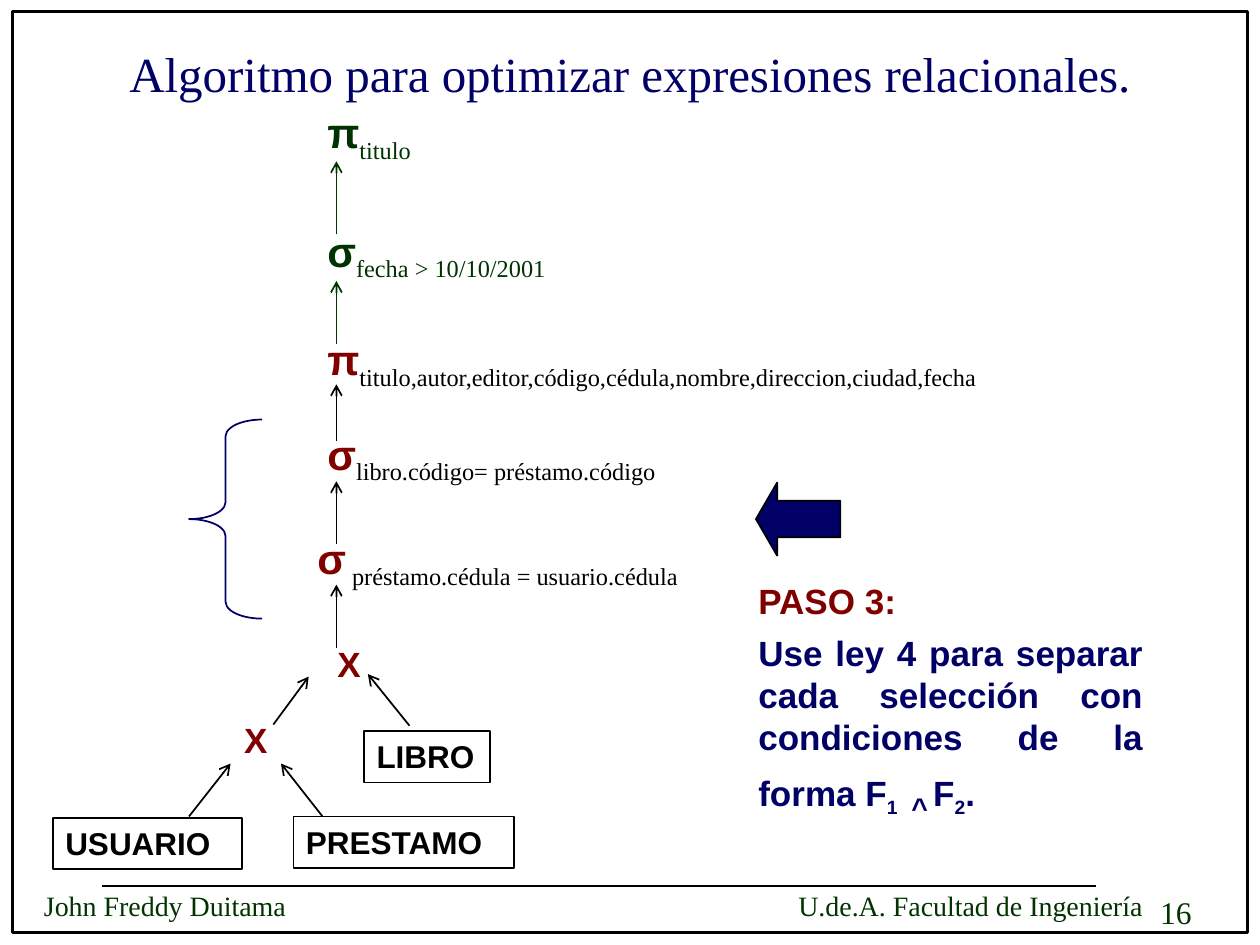
from dataclasses import dataclass

from lxml.etree import SubElement
from pptx import Presentation
from pptx.dml.color import RGBColor
from pptx.enum.shapes import MSO_CONNECTOR, MSO_SHAPE
from pptx.enum.text import MSO_ANCHOR, PP_ALIGN
from pptx.oxml.ns import qn
from pptx.util import Pt

EMU_PER_PX = 9144


@dataclass(frozen=True)
class Theme:
    navy: str = "000066"
    green: str = "003300"
    maroon: str = "800000"
    black: str = "000000"
    sans: str = "Arial"
    serif: str = "Times New Roman"
    title: int = 28
    symbol: int = 24
    body: int = 20
    index: int = 19
    label: int = 18
    footer: int = 16


@dataclass(frozen=True)
class Box:
    left: int
    top: int
    width: int
    height: int

    def inner(self, left, top, width, height):
        return Box(self.left + left, self.top + top, width, height)

    def emu(self):
        return [px(n) for n in (self.left, self.top, self.width, self.height)]


THEME = Theme()


def px(length):
    return length * EMU_PER_PX


def add_run(paragraph, text, *, size, color, font=THEME.sans, bold=False, baseline=0):
    run = paragraph.add_run()
    run.text = text
    run.font.size = Pt(size)
    run.font.name = font
    run.font.bold = bold
    run.font.color.rgb = RGBColor.from_string(color)
    if baseline:
        run.font._element.set("baseline", str(baseline * 1000))


def add_text(slide, box, text, *, align=PP_ALIGN.LEFT, **style):
    frame = slide.shapes.add_textbox(*box.emu()).text_frame
    frame.word_wrap = True
    paragraph = frame.paragraphs[0]
    paragraph.alignment = align
    add_run(paragraph, text, **style)
    return frame


def add_outline(slide, preset, box, *, color=THEME.black, fill=None, width=1, adjust=()):
    shape = slide.shapes.add_shape(preset, *box.emu())
    shape.shadow.inherit = False
    if fill:
        shape.fill.solid()
        shape.fill.fore_color.rgb = RGBColor.from_string(fill)
    else:
        shape.fill.background()
    shape.line.color.rgb = RGBColor.from_string(color)
    shape.line.width = Pt(width)
    for i, value in enumerate(adjust):
        shape.adjustments[i] = value


def add_line(slide, box, start, end, *, color=THEME.black, arrow=False):
    points = [px(n) for x, y in (start, end) for n in (box.left + x, box.top + y)]
    line = slide.shapes.add_connector(MSO_CONNECTOR.STRAIGHT, *points)
    line.line.color.rgb = RGBColor.from_string(color)
    line.line.width = Pt(1)
    if arrow:
        SubElement(line.line._get_or_add_ln(), qn("a:tailEnd"), type="arrow")
    SubElement(line._element.spPr, qn("a:effectLst"))


def draw_page_frame(slide, box):
    style = dict(font=THEME.serif, color=THEME.green)
    add_outline(slide, MSO_SHAPE.RECTANGLE, box, width=2)
    add_text(slide, box.inner(901, 695, 77, 40), "16", size=THEME.label, **style)
    footer = add_text(slide, box.inner(15, 691, 925, 36),
                      "John Freddy Duitama\tU.de.A. Facultad de Ingeniería",
                      size=THEME.footer, **style)
    tabs = SubElement(footer.paragraphs[0]._p.get_or_add_pPr(), qn("a:tabLst"))
    SubElement(tabs, qn("a:tab"), pos=str(px(872)), algn="r")
    add_line(slide, box, (71, 694), (860, 694))


def draw_title(slide, box):
    title = slide.shapes.title
    title.left, title.top, title.width, title.height = box.emu()
    title.text_frame.vertical_anchor = MSO_ANCHOR.BOTTOM
    paragraph = title.text_frame.paragraphs[0]
    paragraph.alignment = PP_ALIGN.CENTER
    add_run(paragraph, "Algoritmo para optimizar expresiones relacionales.",
            size=THEME.title, font=THEME.serif, color=THEME.navy)


def draw_operators(slide, box):
    done = (THEME.green, THEME.green)
    current = (THEME.maroon, THEME.black)
    operators = [
        (8, 0, "π", "titulo", done),
        (8, 94, "σ", "fecha > 10/10/2001", done),
        (8, 180, "π", "titulo,autor,editor,código,cédula,nombre,direccion,ciudad,fecha", current),
        (8, 255, "σ", "libro.código= préstamo.código", current),
        (0, 338, "σ", " préstamo.cédula = usuario.cédula", current),
    ]
    for left, top, symbol, condition, (symbol_color, condition_color) in operators:
        frame = add_text(slide, box.inner(left, top, 650, 50), symbol,
                         size=THEME.symbol, color=symbol_color, bold=True)
        add_run(frame.paragraphs[0], condition, size=THEME.symbol,
                font=THEME.serif, color=condition_color, baseline=-25)
    flow = [(106, 48, THEME.green), (193, 143, THEME.green), (270, 225, THEME.black),
            (352, 302, THEME.black), (434, 384, THEME.black)]
    for bottom, top, color in flow:
        add_line(slide, box, (25, bottom), (25, top), color=color, arrow=True)


def draw_relations(slide, box):
    for left, top in ((210, 0), (136, 60)):
        add_text(slide, box.inner(left, top, 50, 43), "X", align=PP_ALIGN.CENTER,
                 size=THEME.body, color=THEME.maroon, bold=True)
    relations = [("LIBRO", 247, 75, 100), ("PRESTAMO", 191, 143, 175), ("USUARIO", 0, 144, 150)]
    for name, left, top, width in relations:
        place = box.inner(left, top, width, 41)
        add_outline(slide, MSO_SHAPE.RECTANGLE, place)
        add_text(slide, place, name, size=THEME.label, color=THEME.black, bold=True)
    joins = [((175, 70), (203, 32)), ((108, 143), (141, 101)),
             ((283, 71), (250, 30)), ((214, 143), (181, 101))]
    for start, end in joins:
        add_line(slide, box, start, end, arrow=True)


def draw_step(slide, box):
    add_outline(slide, MSO_SHAPE.LEFT_ARROW, box.inner(8, 0, 67, 58),
                fill=THEME.navy, adjust=(0.5, 0.29))
    frame = add_text(slide, box.inner(0, 72, 325, 197), "PASO 3:",
                     size=THEME.body, color=THEME.maroon, bold=True)
    rule = frame.add_paragraph()
    rule.alignment = PP_ALIGN.JUSTIFY
    rule.space_before = Pt(5.6)
    pieces = [
        ("Use ley 4 para separar cada selección con condiciones de la forma F", THEME.body, 0),
        ("1", THEME.index, -25),
        (" ", THEME.title, 0),
        ("^", THEME.title, -25),
        (" ", THEME.index, -25),
        ("F", THEME.body, 0),
        ("2", THEME.index, -25),
        (".", THEME.body, 0),
    ]
    for text, size, baseline in pieces:
        add_run(rule, text, size=size, color=THEME.navy, bold=True, baseline=baseline)


def main():
    presentation = Presentation()
    presentation.slide_width, presentation.slide_height = px(1000), px(750)
    slide = presentation.slides.add_slide(presentation.slide_layouts[5])
    draw_page_frame(slide, Box(10, 9, 980, 731))
    draw_title(slide, Box(75, 28, 850, 58))
    draw_operators(slide, Box(242, 80, 658, 434))
    draw_relations(slide, Box(42, 505, 366, 185))
    draw_step(slide, Box(592, 383, 325, 269))
    add_outline(slide, MSO_SHAPE.LEFT_BRACE, Box(150, 333, 58, 158),
                color=THEME.navy, adjust=(0.23, 0.5))
    presentation.save("out.pptx")


if __name__ == "__main__":
    main()
